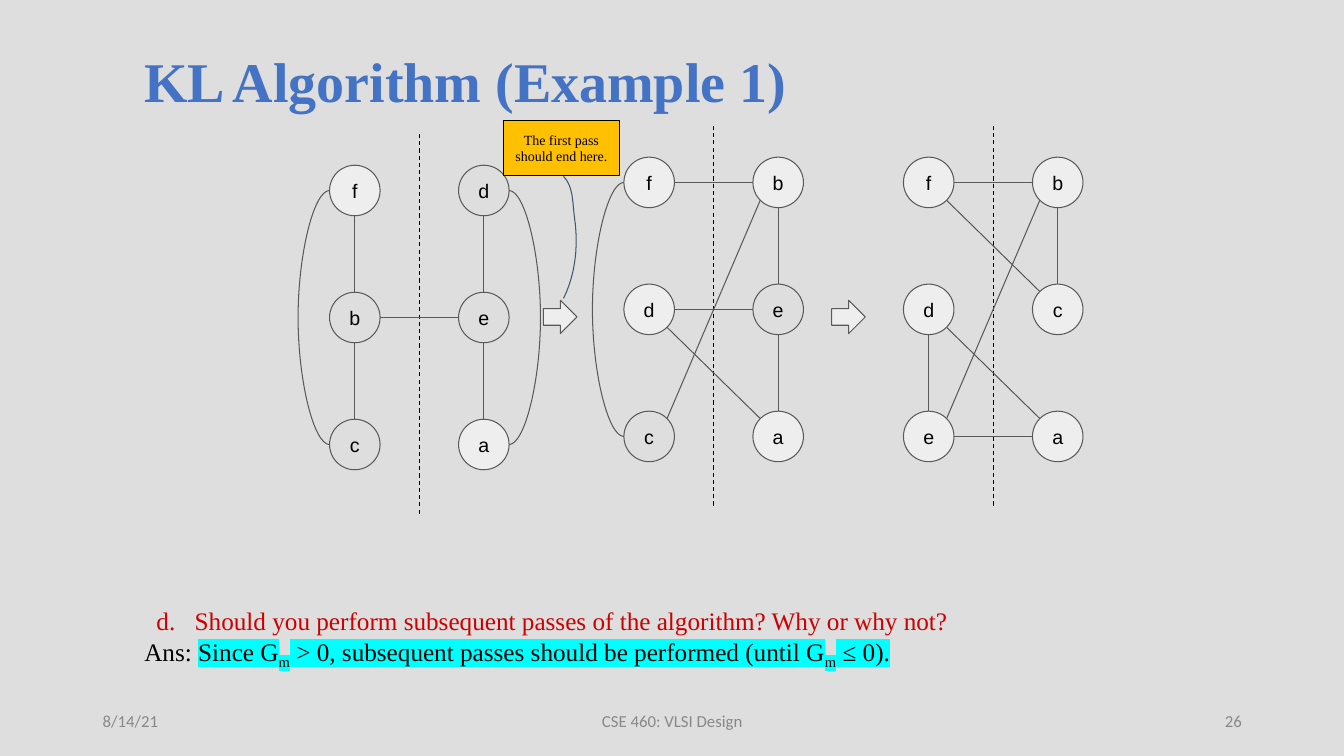
import pptx
import pptx.util
import pptx.dml.color
import pptx.enum.dml
import pptx.enum.shapes
import pptx.enum.text
import pptx.oxml.xmlchemy

THEME = {
    "paper": "DDDEDD", "title": "4472C4", "ask": "CC0000", "ink": "000000",
    "mark": "00FFFF", "foot": "888888", "edge": "595959", "node": "EEEEEE",
    "note": "FFC000", "tail": "44546A", "frame": "DDDDDD",
    "serif": "Times New Roman", "sans": "Arial", "small": "Calibri",
    "head": 40, "body": 18, "label": 14, "tiny": 12, "hint": 10,
}
ALIGN = pptx.enum.text.PP_ALIGN
ANCHOR = pptx.enum.text.MSO_ANCHOR
SHAPE = pptx.enum.shapes.MSO_SHAPE
LINK = pptx.enum.shapes.MSO_CONNECTOR
rgb = pptx.dml.color.RGBColor.from_string
make = pptx.oxml.xmlchemy.OxmlElement

deck = pptx.Presentation()
deck.slide_width = pptx.util.Inches(13.333)
deck.slide_height = pptx.util.Inches(7.5)
slide = deck.slides.add_slide(deck.slide_layouts[6])
slide.background.fill.solid()
slide.background.fill.fore_color.rgb = rgb(THEME["paper"])
shapes = slide.shapes

# The slide is a grid of 100 columns by 100 rows
col, row = deck.slide_width / 100, deck.slide_height / 100


def style(item, line, fill=None):
    item.line.color.rgb = rgb(THEME[line])
    item.line.width = pptx.util.Pt(0.75)
    if item.shape_type == pptx.enum.shapes.MSO_SHAPE_TYPE.LINE:
        item._element.spPr.append(make("a:effectLst"))
        return
    item.shadow.inherit = False
    if fill:
        item.fill.solid()
        item.fill.fore_color.rgb = rgb(THEME[fill])
    else:
        item.fill.background()


def write(item, text, size, face, color, align=ALIGN.LEFT, anchor=ANCHOR.MIDDLE, pad=0.05):
    frame = item.text_frame
    frame.word_wrap = True
    frame.vertical_anchor = anchor
    frame.margin_top = frame.margin_bottom = pptx.util.Inches(pad)
    frame.text = text
    para = frame.paragraphs[0]
    para.alignment = align
    font = para.runs[0].font
    font.size, font.name = pptx.util.Pt(THEME[size]), THEME[face]
    font.color.rgb = rgb(THEME[color])
    return para


# Question and answer
box = shapes.add_shape(SHAPE.RECTANGLE, int(10 * col), int(78.8 * row), int(83.2 * col), int(10.8 * row))
style(box, "frame")
ask = write(box, "Should you perform subsequent passes of the algorithm? Why or why not?",
            "body", "serif", "ask", anchor=ANCHOR.TOP, pad=0.1)
props = ask._p.get_or_add_pPr()
props.set("marL", str(pptx.util.Inches(0.5)))
props.set("indent", str(pptx.util.Inches(-0.38)))
tint, code, count = make("a:buClr"), make("a:srgbClr"), make("a:buAutoNum")
code.set("val", THEME["ask"])
tint.append(code)
count.set("type", "alphaLcPeriod")
count.set("startAt", "4")
props.append(tint)
props.append(count)

reply = box.text_frame.add_paragraph()
reply.alignment = ALIGN.LEFT
for part in ("Ans: ", "Since G", "m", " > 0, subsequent passes should be performed (until G", "m", " ≤ 0)."):
    run = reply.add_run()
    run.text = part
    run.font.size = pptx.util.Pt(THEME["body"])
    run.font.color.rgb = rgb(THEME["ink"])
    props = run._r.get_or_add_rPr()
    if part != "Ans: ":
        glow, code = make("a:highlight"), make("a:srgbClr")
        code.set("val", THEME["mark"])
        glow.append(code)
        props.append(glow)
    if part == "m":
        props.set("baseline", "-25000")
    run.font.name = THEME["serif"]

# Footer
for left, wide, text, align in ((6.9, 22.5, "8/14/21", ALIGN.LEFT),
                                (33.15, 33.75, "CSE 460: VLSI Design", ALIGN.CENTER),
                                (70.65, 22.5, "26", ALIGN.RIGHT)):
    foot = shapes.add_textbox(int(left * col), int(92.67 * row), int(wide * col), int(5.33 * row))
    write(foot, text, "tiny", "small", "foot", align)

# Title
head = shapes.add_textbox(int(10 * col), int(6.27 * row), int(74.55 * col), int(10.4 * row))
para = write(head, "KL Algorithm (Example 1)", "head", "serif", "title")
head.text_frame.margin_top = pptx.util.Inches(0.01)
para.line_spacing = 0.9
para.runs[0].font.bold = True

# Graphs: first node centre, nodes by row, filled nodes, edges, loops (side -1 left, 1 right)
graphs = (
    (26.4, 25.2, "fd be ca", "fa", "fb bc be de ea", (("fc", -1), ("da", 1))),
    (48.3, 24.13, "fb de ca", "fbda", "fb de cb da be ea", (("fc", -1),)),
    (69.1, 24.13, "fb dc ea", "fbdcea", "fb da de ea eb bc fc", ()),
)
wide, tall = 9.6 * col, 16.8 * row
rad = 1.88 * col
thin = 600  # EMU; the curve's bulge is a multiple of this width
bulge = 1.95 * col
for left, top, rows, solid, edges, loops in graphs:
    spots = {name: (left * col + c * wide, top * row + r * tall)
             for r, pair in enumerate(rows.split()) for c, name in enumerate(pair)}

    # Cut line
    mid = int(left * col + wide / 2)
    cut = shapes.add_connector(LINK.STRAIGHT, mid, int((top - 7.47) * row), mid, int((top + 43) * row))
    style(cut, "ink")
    cut.line.dash_style = pptx.enum.dml.MSO_LINE.DASH

    # Edges run from rim to rim
    for a, b in edges.split():
        (x1, y1), (x2, y2) = spots[a], spots[b]
        dx, dy = (x2 > x1) - (x2 < x1), (y2 > y1) - (y2 < y1)
        gap = rad * (0.71 if dx and dy else 1)
        edge = shapes.add_connector(LINK.STRAIGHT, int(x1 + dx * gap), int(y1 + dy * gap),
                                    int(x2 - dx * gap), int(y2 - dy * gap))
        style(edge, "edge")

    # Loops
    for (a, b), side in loops:
        x = int(spots[a][0] + side * rad)
        loop = shapes.add_connector(LINK.CURVE, x, int(spots[a][1]), x - side * thin, int(spots[b][1]))
        bend = make("a:gd")
        bend.set("name", "adj1")
        bend.set("fmla", f"val {int(-bulge / thin * 100000)}")
        loop._element.spPr.prstGeom.get_or_add_avLst().append(bend)
        style(loop, "edge")

    # Nodes
    for name, (x, y) in spots.items():
        node = shapes.add_shape(SHAPE.OVAL, int(x - rad), int(y - rad), int(2 * rad), int(2 * rad))
        style(node, "edge", "node" if name in solid else None)
        write(node, name, "label", "sans", "ink", ALIGN.CENTER, pad=0)

# Arrows between graphs
for left in (40.43, 61.88):
    arrow = shapes.add_shape(SHAPE.RIGHT_ARROW, int(left * col), int(39.73 * row), int(2.5 * col), int(4.4 * row))
    style(arrow, "edge", "node")

# Callout and its curved tail
note = shapes.add_shape(SHAPE.RECTANGLE, int(37.45 * col), int(16 * row), int(8.63 * col), int(7.2 * row))
style(note, "ink", "note")
write(note, "The first pass should end here.", "hint", "serif", "ink", ALIGN.CENTER, ANCHOR.TOP, 0.1)
bends = (((41.93, 23.33), (42.68, 24.67), (42.6, 26.93), (42.75, 28.8)),
         ((42.75, 28.8), (43.05, 32.4), (42.83, 36.27), (41.93, 39.47)))
trail = []
for bend in bends:
    for step in range(1, 13):
        t = step / 12
        share = ((1 - t) ** 3, 3 * t * (1 - t) ** 2, 3 * t * t * (1 - t), t ** 3)
        trail.append((sum(s * p[0] for s, p in zip(share, bend)) * col,
                      sum(s * p[1] for s, p in zip(share, bend)) * row))
pen = shapes.build_freeform(int(41.93 * col), int(23.33 * row))
pen.add_line_segments(trail, close=False)
style(pen.convert_to_shape(), "tail")

deck.save("out.pptx")
